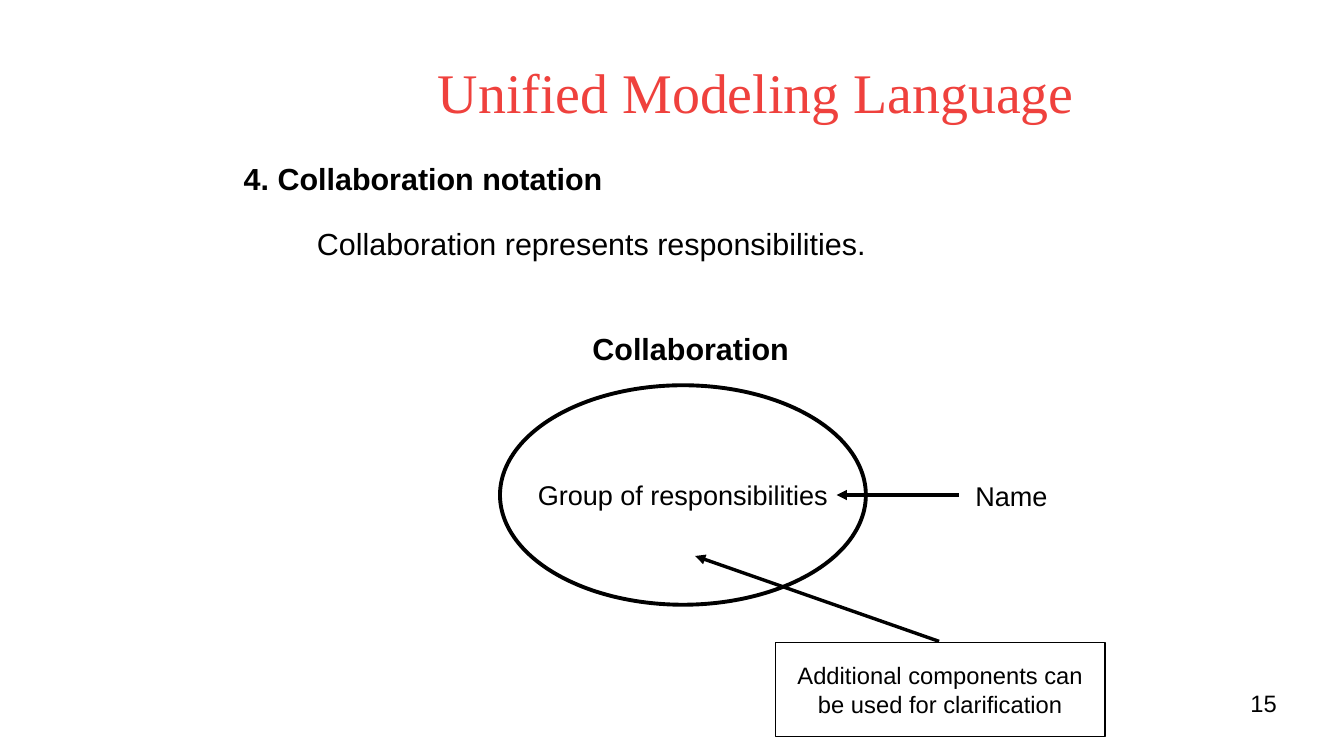
from dataclasses import dataclass

from lxml.etree import SubElement
from pptx import Presentation
from pptx.dml.color import RGBColor
from pptx.enum.shapes import MSO_CONNECTOR as Connector, MSO_SHAPE as Shape
from pptx.enum.text import MSO_ANCHOR as Anchor, PP_ALIGN as Align
from pptx.oxml.ns import qn
from pptx.util import Inches, Pt


@dataclass(frozen=True)
class Theme:
    """Colours, fonts and type sizes of the slide."""
    title_color: RGBColor = RGBColor(0xEF, 0x41, 0x3D)
    ink: RGBColor = RGBColor(0, 0, 0)
    paper: RGBColor = RGBColor(255, 255, 255)
    title_font: str = "Times New Roman"
    body_font: str = "Arial"
    title_size: int = 33
    body_size: int = 18
    label_size: int = 16
    note_size: int = 14


class SlideBuilder:
    """Draws styled elements on the current slide."""

    def __init__(self, slide, theme):
        self.slide = slide
        self.theme = theme

    def set_text(self, shape, text, size, insets, align=Align.LEFT, anchor=Anchor.TOP,
                 bold=False, spacing=None, wrap=True, font=None, color=None):
        """Put one styled paragraph into a shape."""
        frame = shape.text_frame
        frame.text = text
        frame.word_wrap = wrap
        frame.vertical_anchor = anchor
        frame.margin_left = frame.margin_right = Inches(insets[0])
        frame.margin_top = frame.margin_bottom = Inches(insets[1])
        paragraph = frame.paragraphs[0]
        paragraph.alignment = align
        if spacing:
            paragraph.line_spacing = spacing
        run_font = paragraph.runs[0].font
        run_font.name = font or self.theme.body_font
        run_font.size = Pt(size)
        run_font.bold = bold
        run_font.color.rgb = color or self.theme.ink

    def text(self, box, text, size, insets=(0.1, 0.05), **style):
        """Add a text box."""
        shape = self.slide.shapes.add_textbox(*map(Inches, box))
        self.set_text(shape, text, size, insets, **style)

    def outline(self, kind, box, text, size, line_width, fill=None, wrap=True):
        """Add an outlined shape with centred text."""
        shape = self.slide.shapes.add_shape(kind, *map(Inches, box))
        shape.shadow.inherit = False
        if fill is None:
            shape.fill.background()
        else:
            shape.fill.solid()
            shape.fill.fore_color.rgb = fill
        shape.line.color.rgb = self.theme.ink
        shape.line.width = Pt(line_width)
        self.set_text(shape, text, size, (0.11, 0.06), align=Align.CENTER,
                      anchor=Anchor.MIDDLE, wrap=wrap)

    def pointer(self, tip, tail):
        """Add a hairline with an arrowhead at its tip."""
        connector = self.slide.shapes.add_connector(
            Connector.STRAIGHT, *map(Inches, (*tip, *tail)))
        connector.line.color.rgb = self.theme.ink
        connector.line.width = Pt(0)
        properties = connector._element.spPr
        SubElement(properties.find(qn("a:ln")), qn("a:headEnd"), type="triangle")
        SubElement(properties, qn("a:effectLst"))


def main():
    """Build and save the collaboration notation slide."""
    presentation = Presentation()
    presentation.slide_width = Inches(11.02)
    presentation.slide_height = Inches(6.2)
    slide = presentation.slides.add_slide(presentation.slide_layouts[6])
    theme = Theme()
    builder = SlideBuilder(slide, theme)

    builder.text((1.77, 0.24, 8.86, 1.02), "Unified Modeling Language", theme.title_size,
                 insets=(0, 0), align=Align.CENTER, anchor=Anchor.MIDDLE,
                 font=theme.title_font, color=theme.title_color)
    builder.text((1.9, 1.26, 7.2, 0.66), "4. Collaboration notation",
                 theme.body_size, bold=True)
    builder.text((2.5, 1.65, 8.1, 0.66), "Collaboration represents responsibilities.",
                 theme.body_size, spacing=1.5)
    builder.text((4.76, 2.66, 1.84, 0.66), "Collaboration", theme.body_size, bold=True)

    builder.outline(Shape.RECTANGLE, (6.36, 5.27, 2.7, 0.77),
                    "Additional components can be used for clarification",
                    theme.note_size, line_width=1)
    builder.outline(Shape.OVAL, (4.1, 3.16, 3, 1.8), "Group of responsibilities",
                    theme.label_size, line_width=2.3, fill=theme.paper, wrap=False)
    builder.pointer((5.7, 4.56), (7.7, 5.26))
    builder.pointer((6.86, 4.06), (7.86, 4.06))
    builder.text((7.9, 3.88, 1.1, 0.35), "Name", theme.label_size)
    builder.text((7.9, 5.65, 2.57, 0.43), "15", theme.note_size,
                 insets=(0, 0), align=Align.RIGHT)

    presentation.save("out.pptx")


if __name__ == "__main__":
    main()
